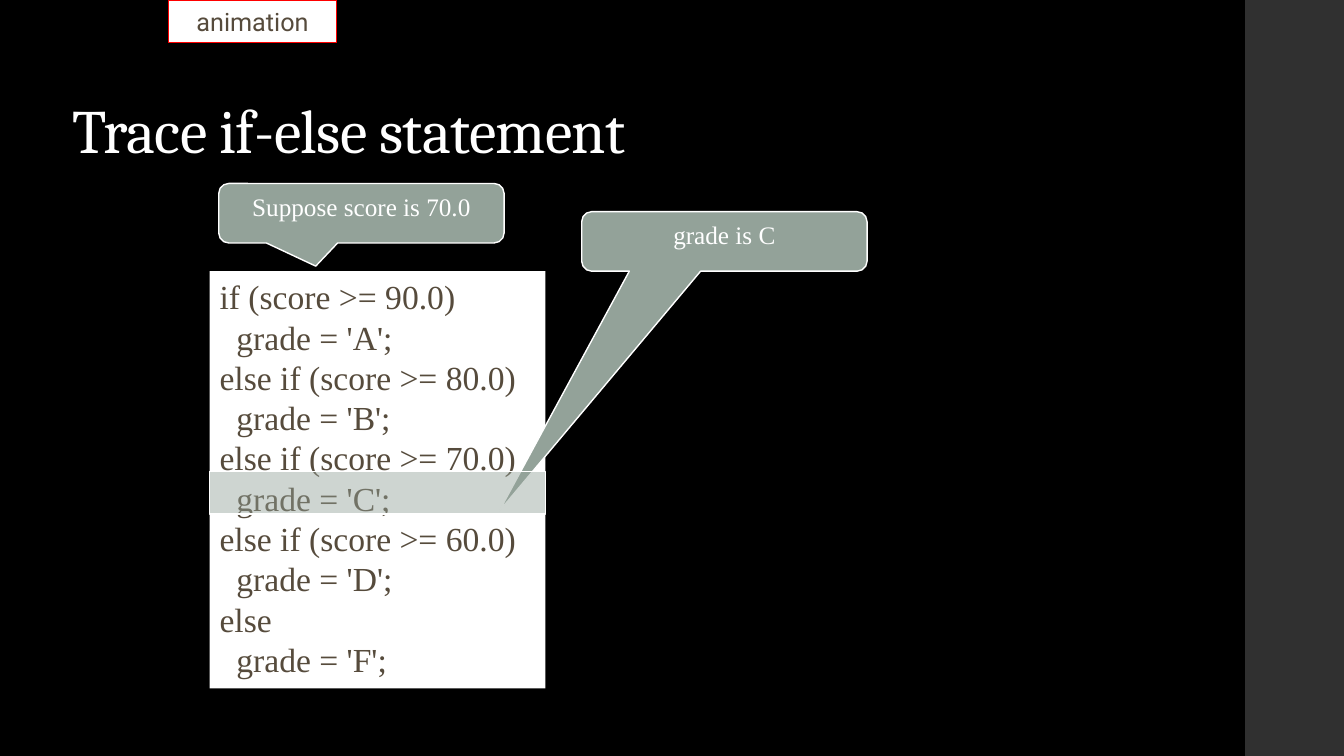
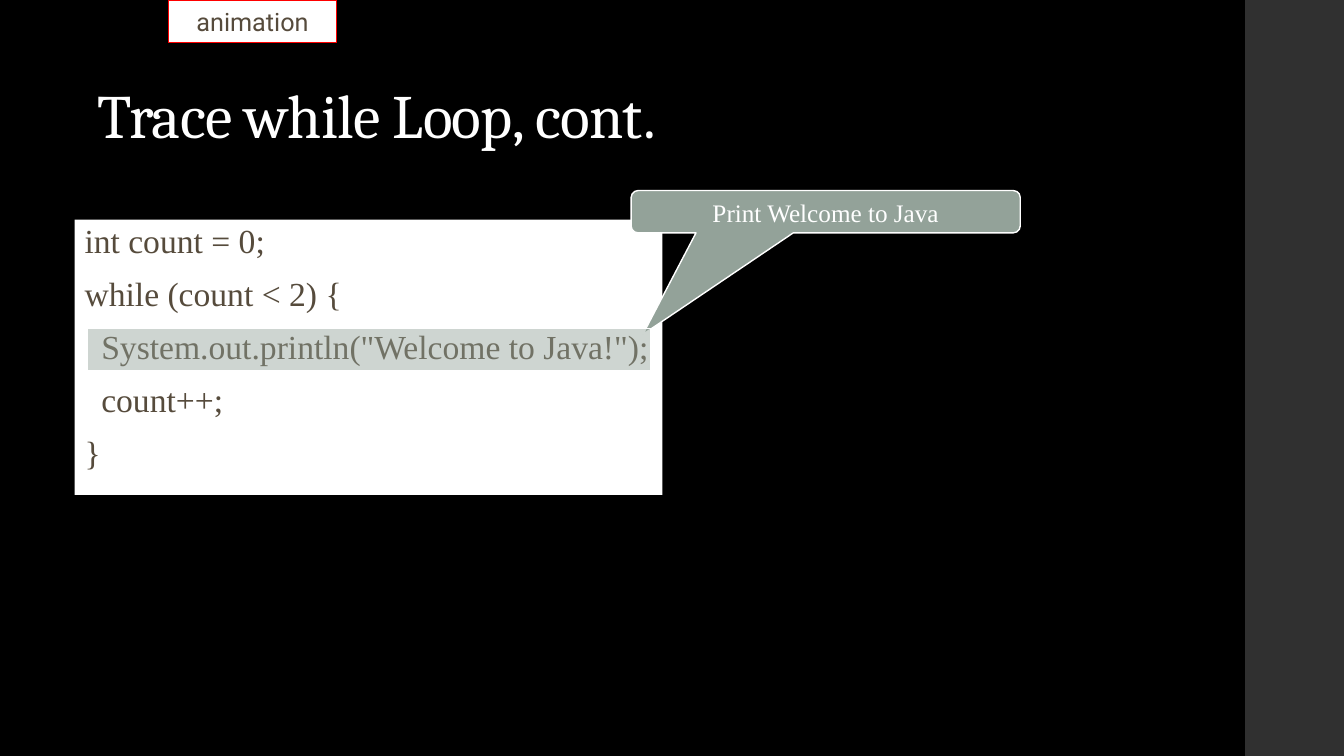
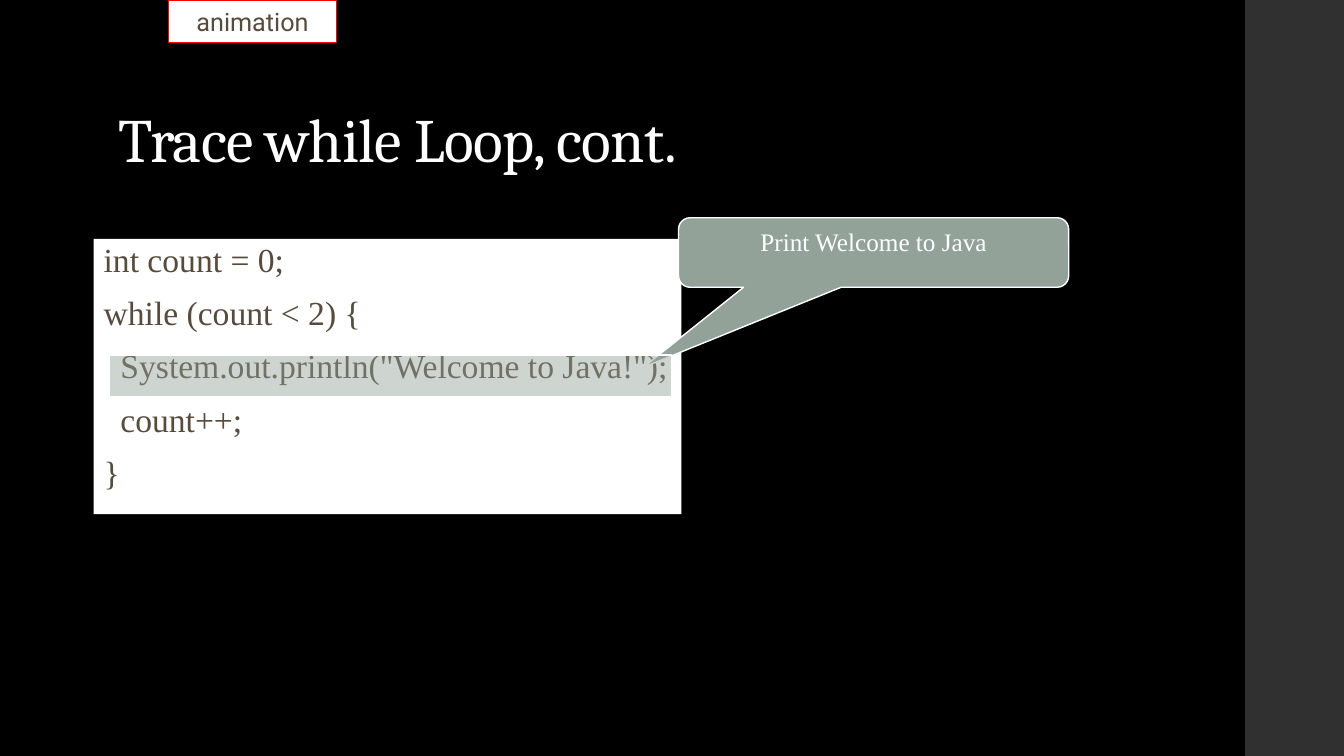
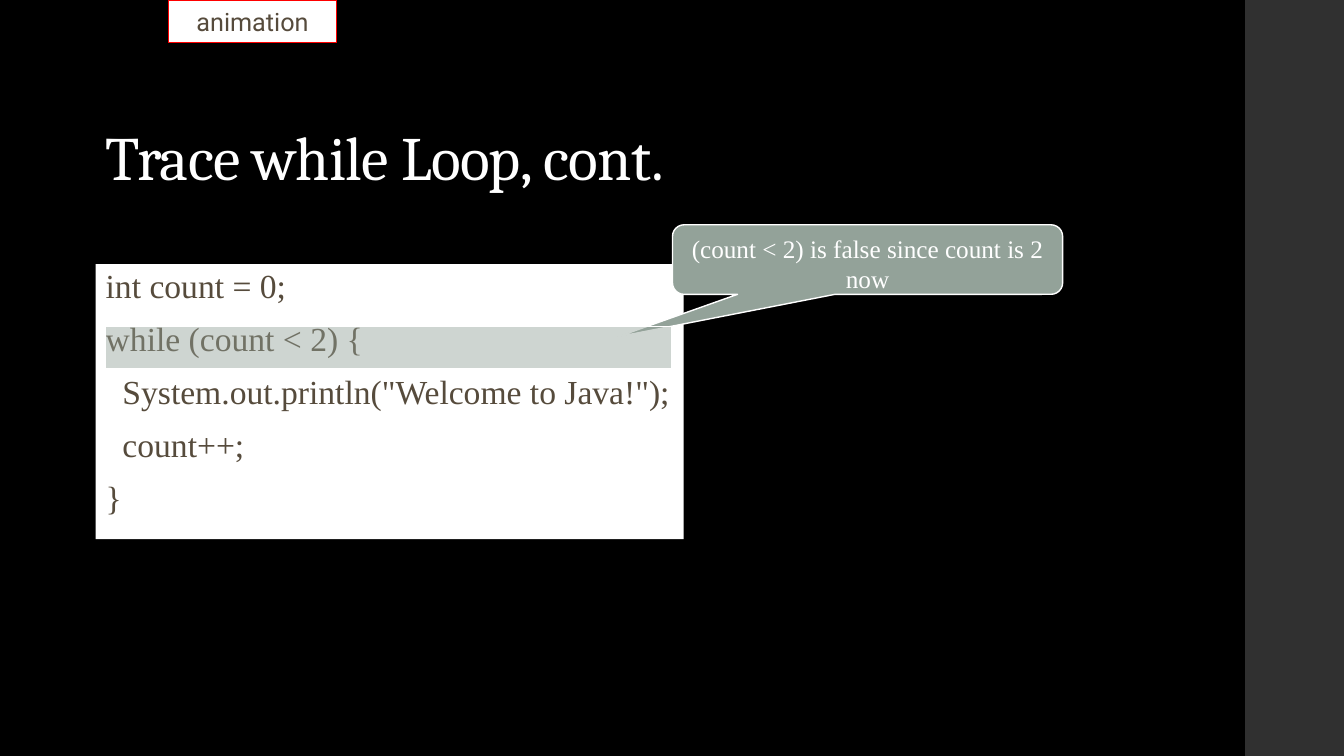
from lxml.etree import SubElement
from pptx import Presentation
from pptx.dml.color import RGBColor
from pptx.enum.shapes import MSO_SHAPE
from pptx.enum.text import MSO_ANCHOR, MSO_AUTO_SIZE, PP_ALIGN
from pptx.oxml.ns import qn
from pptx.util import Inches, Pt

BLACK = RGBColor(0x00, 0x00, 0x00)
WHITE = RGBColor(0xFF, 0xFF, 0xFF)
CHARCOAL = RGBColor(0x30, 0x30, 0x30)
SAGE = RGBColor(0x93, 0xA2, 0x99)
BROWN = RGBColor(0x56, 0x4B, 0x3C)
RED = RGBColor(0xFF, 0x00, 0x00)

TITLE_FONT, TAG_FONT, CODE_FONT = "Cambria", "Roboto", "Times New Roman"
SLIDE_WIDTH, SLIDE_HEIGHT = 13.33, 7.5
BAND_LEFT = 12.35
TAG_BOX = (1.67, 0, 1.67, 0.42)
HIGHLIGHT_OPACITY = 45

IF_ELSE_CODE = [
    "if (score >= 90.0)",
    "  grade = 'A';",
    "else if (score >= 80.0)",
    "  grade = 'B';",
    "else if (score >= 70.0)",
    "  grade = 'C';",
    "else if (score >= 60.0)",
    "  grade = 'D';",
    "else",
    "  grade = 'F';",
]
WHILE_CODE = [
    "int count = 0;",
    "while (count < 2) {",
    '  System.out.println("Welcome to Java!");',
    "  count++;",
    "}",
]
IF_ELSE_STYLE = {}
WHILE_STYLE = {"line_spacing": 0.9, "space_before": 12}

# Boxes are left, top, width, height in inches; a callout also has its tip,
# measured from its centre in shares of its width and height.
SLIDES = [
    {
        "title": ("Trace if-else statement", (0.62, 0.7, 8.75, 1)),
        "code": (IF_ELSE_CODE, (2.08, 2.69, 3.33, 4.14), IF_ELSE_STYLE),
        "callouts": [
            ("Suppose score is 70.0", (2.17, 1.82, 2.83, 0.59), (-0.16, 0.89)),
            ("grade is C", (5.77, 2.1, 2.83, 0.59), (-0.79, 4.54)),
        ],
        "highlight": (2.08, 4.68, 3.33, 0.42),
    },
    {
        "title": ("Trace while Loop, cont.", (0.87, 0.73, 8.5, 0.83)),
        "code": (WHILE_CODE, (0.74, 2.18, 5.83, 2.73), WHILE_STYLE),
        "callouts": [
            ("Print Welcome to Java", (6.26, 1.89, 3.86, 0.42), (-0.47, 2.9)),
        ],
        "highlight": (0.87, 3.26, 5.58, 0.42),
    },
    {
        "title": ("Trace while Loop, cont.", (1.08, 0.96, 8.5, 0.83)),
        "code": (WHILE_CODE, (0.93, 2.37, 5.83, 2.73), WHILE_STYLE),
        "callouts": [
            ("Print Welcome to Java", (6.73, 2.16, 3.87, 0.69), (-0.59, 1.65)),
        ],
        "highlight": (1.08, 3.52, 5.58, 0.42),
    },
    {
        "title": ("Trace while Loop, cont.", (0.95, 1.14, 8.5, 0.83)),
        "code": (WHILE_CODE, (0.95, 2.62, 5.83, 2.73), WHILE_STYLE),
        "callouts": [
            ("(count < 2) is false since count is 2 now",
             (6.67, 2.23, 3.87, 0.69), (-0.64, 1.11)),
        ],
        "highlight": (1.04, 3.24, 5.62, 0.42),
    },
]


def add_box(slide, box, fill, line=None, preset=MSO_SHAPE.RECTANGLE):
    shape = slide.shapes.add_shape(preset, *map(Inches, box))
    shape.shadow.inherit = False
    shape.fill.solid()
    shape.fill.fore_color.rgb = fill
    if line is None:
        shape.line.fill.background()
    else:
        shape.line.color.rgb = line
        shape.line.width = Pt(1)
    return shape


def write_lines(shape, lines, font, size, color, align=PP_ALIGN.LEFT,
                anchor=MSO_ANCHOR.TOP, wrap=True, line_spacing=None, space_before=0):
    """Write one paragraph per line and return the runs."""
    frame = shape.text_frame
    frame.word_wrap = wrap
    frame.vertical_anchor = anchor
    runs = []
    for index, line in enumerate(lines):
        paragraph = frame.add_paragraph() if index else frame.paragraphs[0]
        paragraph.alignment = align
        if line_spacing:
            paragraph.line_spacing = line_spacing
        if index and space_before:
            paragraph.space_before = Pt(space_before)
        run = paragraph.add_run()
        run.text = line
        run.font.name = font
        run.font.size = Pt(size)
        run.font.color.rgb = color
        runs.append(run)
    return runs


def add_title(slide, text, box):
    title = slide.shapes.add_textbox(*map(Inches, box))
    runs = write_lines(title, [text], TITLE_FONT, 44, WHITE,
                       anchor=MSO_ANCHOR.BOTTOM, line_spacing=0.9)
    runs[0].font._element.set("spc", "-50")


def add_code(slide, lines, box, style):
    code = add_box(slide, box, WHITE)
    write_lines(code, lines, CODE_FONT, 24, BROWN, **style)
    code.text_frame.auto_size = MSO_AUTO_SIZE.SHAPE_TO_FIT_TEXT


def add_callout(slide, text, box, tip):
    callout = add_box(slide, box, SAGE, WHITE, MSO_SHAPE.ROUNDED_RECTANGULAR_CALLOUT)
    callout.adjustments[0], callout.adjustments[1] = tip
    write_lines(callout, [text], CODE_FONT, 18, WHITE, PP_ALIGN.CENTER)


def add_highlight(slide, box):
    highlight = add_box(slide, box, SAGE, WHITE)
    color = highlight._element.spPr.find(qn("a:solidFill")).find(qn("a:srgbClr"))
    SubElement(color, qn("a:alpha")).set("val", str(HIGHLIGHT_OPACITY * 1000))


def add_tag(slide):
    tag = add_box(slide, TAG_BOX, WHITE, RED)
    write_lines(tag, ["animation"], TAG_FONT, 18, BROWN, PP_ALIGN.CENTER,
                MSO_ANCHOR.MIDDLE, wrap=False)


def build_slide(presentation, content):
    slide = presentation.slides.add_slide(presentation.slide_layouts[6])
    add_box(slide, (BAND_LEFT, 0, SLIDE_WIDTH - BAND_LEFT, SLIDE_HEIGHT), CHARCOAL)
    add_title(slide, *content["title"])
    add_code(slide, *content["code"])
    for callout in content["callouts"]:
        add_callout(slide, *callout)
    add_highlight(slide, content["highlight"])
    add_tag(slide)


def main():
    presentation = Presentation()
    presentation.slide_width = Inches(SLIDE_WIDTH)
    presentation.slide_height = Inches(SLIDE_HEIGHT)
    background = presentation.slide_master.background.fill
    background.solid()
    background.fore_color.rgb = BLACK
    for content in SLIDES:
        build_slide(presentation, content)
    presentation.save("out.pptx")


if __name__ == "__main__":
    main()
